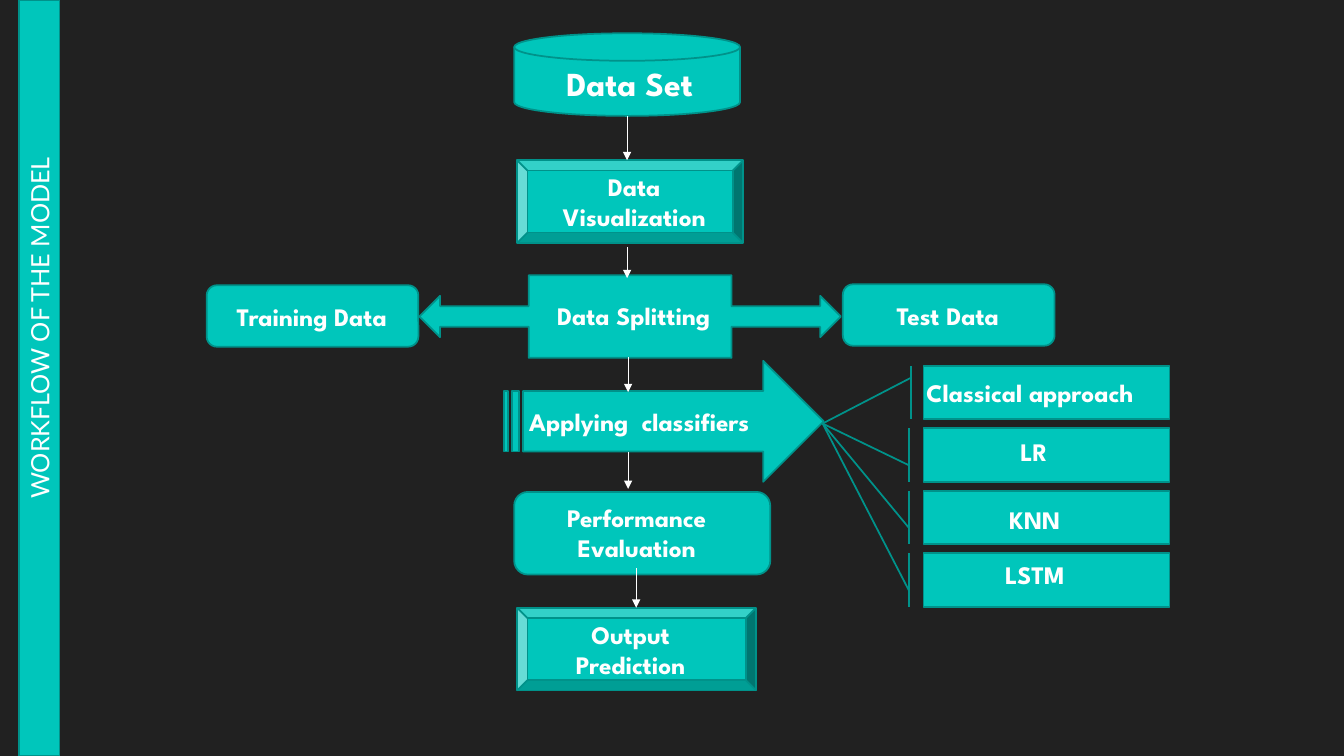
from lxml import etree
from pptx import Presentation
from pptx.dml.color import RGBColor
from pptx.enum.shapes import MSO_CONNECTOR, MSO_SHAPE
from pptx.enum.text import MSO_ANCHOR, MSO_AUTO_SIZE, PP_ALIGN
from pptx.oxml.ns import qn
from pptx.util import Inches, Pt

BEVEL, DISK = MSO_SHAPE.BEVEL, MSO_SHAPE.FLOWCHART_MAGNETIC_DISK
SPLIT, STRIPED = MSO_SHAPE.LEFT_RIGHT_ARROW_CALLOUT, MSO_SHAPE.STRIPED_RIGHT_ARROW
ROUNDED, PROCESS = MSO_SHAPE.ROUNDED_RECTANGLE, MSO_SHAPE.FLOWCHART_ALTERNATE_PROCESS
BAR, CALLOUT = MSO_SHAPE.RECTANGLE, MSO_SHAPE.LINE_CALLOUT_1_BORDER_AND_ACCENT_BAR
STRAIGHT = MSO_CONNECTOR.STRAIGHT
LEFT, CENTER = PP_ALIGN.LEFT, PP_ALIGN.CENTER
TOP = MSO_ANCHOR.TOP
GROW, FIXED = MSO_AUTO_SIZE.SHAPE_TO_FIT_TEXT, MSO_AUTO_SIZE.NONE

THEME = {
    "back": RGBColor.from_string("212121"),
    "fill": RGBColor.from_string("00C6BB"),
    "edge": RGBColor.from_string("00928A"),
    "text": RGBColor.from_string("FFFFFF"),
    "title_font": "Lato", "label_font": "League Spartan",
    "large": 24, "normal": 18, "edge_width": 1.25, "arrow_width": 0.75,
}
WIDTH, HEIGHT = 13.33, 7.5
STEP_HEIGHT, SIDE_HEIGHT = 0.82, 0.61

TITLE = "WORKFLOW OF THE MODEL"
TITLE_BOX = (-1.36, 2.79, 3.81, 0.71)
SIDE_BAR = (0.19, 0, 0.4, HEIGHT)

# Preset, shape box, label, label box, alignment, size
STEPS = [
    (DISK, (5.1, 0.33, 2.24, STEP_HEIGHT),
     "Data Set", (5.33, 0.58, 1.83, 0.5), CENTER, "large"),
    (BEVEL, (5.13, 1.59, 2.24, STEP_HEIGHT),
     "Data Visualization", (5.27, 1.65, 2.04, 0.71), CENTER, "normal"),
    (SPLIT, (4.16, 2.73, 4.18, STEP_HEIGHT),
     "Data Splitting", (5.37, 2.93, 1.83, 0.4), CENTER, "normal"),
    (PROCESS, (2.05, 2.83, 2.1, SIDE_HEIGHT),
     "Training Data", (2.25, 2.94, 1.83, 0.4), LEFT, "normal"),
    (PROCESS, (8.36, 2.82, 2.1, SIDE_HEIGHT),
     "Test Data", (8.42, 2.93, 1.96, 0.4), CENTER, "normal"),
    (STRIPED, (5, 3.58, 3.17, 1.2),
     "Applying  classifiers", (5.15, 3.98, 2.87, 0.4), LEFT, "normal"),
    (ROUNDED, (5.1, 4.88, 2.54, STEP_HEIGHT),
     "Performance Evaluation", (5.4, 4.93, 1.83, 0.71), CENTER, "normal"),
    (BEVEL, (5.13, 6.03, 2.37, STEP_HEIGHT),
     "Output Prediction", (5.34, 6.09, 1.83, 0.71), CENTER, "normal"),
]
# Horizontal position, start, end of each downward arrow
ARROWS = [(6.22, 1.15, 1.59), (6.22, 2.45, 2.76), (6.23, 3.54, 3.89),
          (6.23, 4.48, 4.85), (6.31, 5.64, 6.03)]

# Label, label box, alignment, share of the height and width where the leader starts
CLASSIFIERS = [
    ("Classical approach", (9.09, 3.69, 2.4, 0.4), LEFT, 0.22, -0.05),
    ("LR", (9.25, 4.28, 2.01, 0.4), CENTER, 0.69, -0.06),
    ("KNN", (9.4, 4.95, 1.73, 0.4), CENTER, 0.69, -0.06),
    ("LSTM", (9.4, 5.5, 1.73, 0.4), CENTER, 0.69, -0.06),
]
CARD_LEFT, CARD_TOP, CARD_WIDTH, CARD_HEIGHT, CARD_PITCH = 9.16, 3.63, 2.44, 0.53, 0.62
LEADER_X, LEADER_Y = 8.15, 4.2


def place(box):
    """Convert a box in inches to slide lengths."""
    return [Inches(length) for length in box]


def add_block(slide, preset, box):
    """Add a teal preset shape with a darker edge."""
    block = slide.shapes.add_shape(preset, *place(box))
    block.shadow.inherit = False
    block.fill.solid()
    block.fill.fore_color.rgb = THEME["fill"]
    block.line.color.rgb = THEME["edge"]
    block.line.width = Pt(THEME["edge_width"])
    return block


def write(frame, words, font, size, bold, align):
    """Fill a text frame with one formatted run."""
    frame.word_wrap = True
    frame.vertical_anchor = TOP
    paragraph = frame.paragraphs[0]
    paragraph.alignment = align
    run = paragraph.add_run()
    run.text = words
    run.font.name = THEME[font]
    run.font.size = Pt(THEME[size])
    run.font.bold = bold
    run.font.color.rgb = THEME["text"]


def add_label(slide, words, box, align, size="normal"):
    """Add a bold label over a block."""
    frame = slide.shapes.add_textbox(*place(box)).text_frame
    write(frame, words, "label_font", size, True, align)
    frame.auto_size = GROW


def add_arrow(slide, x, start, end):
    """Add a thin downward arrow between two steps."""
    arrow = slide.shapes.add_connector(STRAIGHT, *place((x, start, x, end)))
    arrow.line.color.rgb = THEME["text"]
    arrow.line.width = Pt(THEME["arrow_width"])
    etree.SubElement(arrow.line._get_or_add_ln(), qn("a:tailEnd"), type="triangle")
    etree.SubElement(arrow.element.spPr, qn("a:effectLst"))


def add_classifier(slide, row, words, box, align, start_y, start_x):
    """Add a classifier card whose leader meets the tip of the striped arrow."""
    top = CARD_TOP + row * CARD_PITCH
    card = add_block(slide, CALLOUT, (CARD_LEFT, top, CARD_WIDTH, CARD_HEIGHT))
    leader = (start_y, start_x, (LEADER_Y - top) / CARD_HEIGHT,
              (LEADER_X - CARD_LEFT) / CARD_WIDTH)
    for index, share in enumerate(leader):
        card.adjustments[index] = round(share, 2)
    add_label(slide, words, box, align)


def add_title(slide):
    """Add the side bar and turn the title to read upwards on it."""
    bar = add_block(slide, BAR, SIDE_BAR)
    title = slide.shapes.title
    title.left, title.top, title.width, title.height = place(TITLE_BOX)
    title.rotation = 270
    write(title.text_frame, TITLE, "title_font", "normal", False, LEFT)
    title.text_frame.auto_size = FIXED
    bar.element.addnext(title.element)


deck = Presentation()
deck.slide_width, deck.slide_height = Inches(WIDTH), Inches(HEIGHT)
workflow = deck.slides.add_slide(deck.slide_layouts[5])
workflow.background.fill.solid()
workflow.background.fill.fore_color.rgb = THEME["back"]

add_title(workflow)
for preset, shape_box, label, label_box, align, size in STEPS:
    add_block(workflow, preset, shape_box)
    add_label(workflow, label, label_box, align, size)
for arrow in ARROWS:
    add_arrow(workflow, *arrow)
for row, classifier in enumerate(CLASSIFIERS):
    add_classifier(workflow, row, *classifier)

deck.save("out.pptx")
